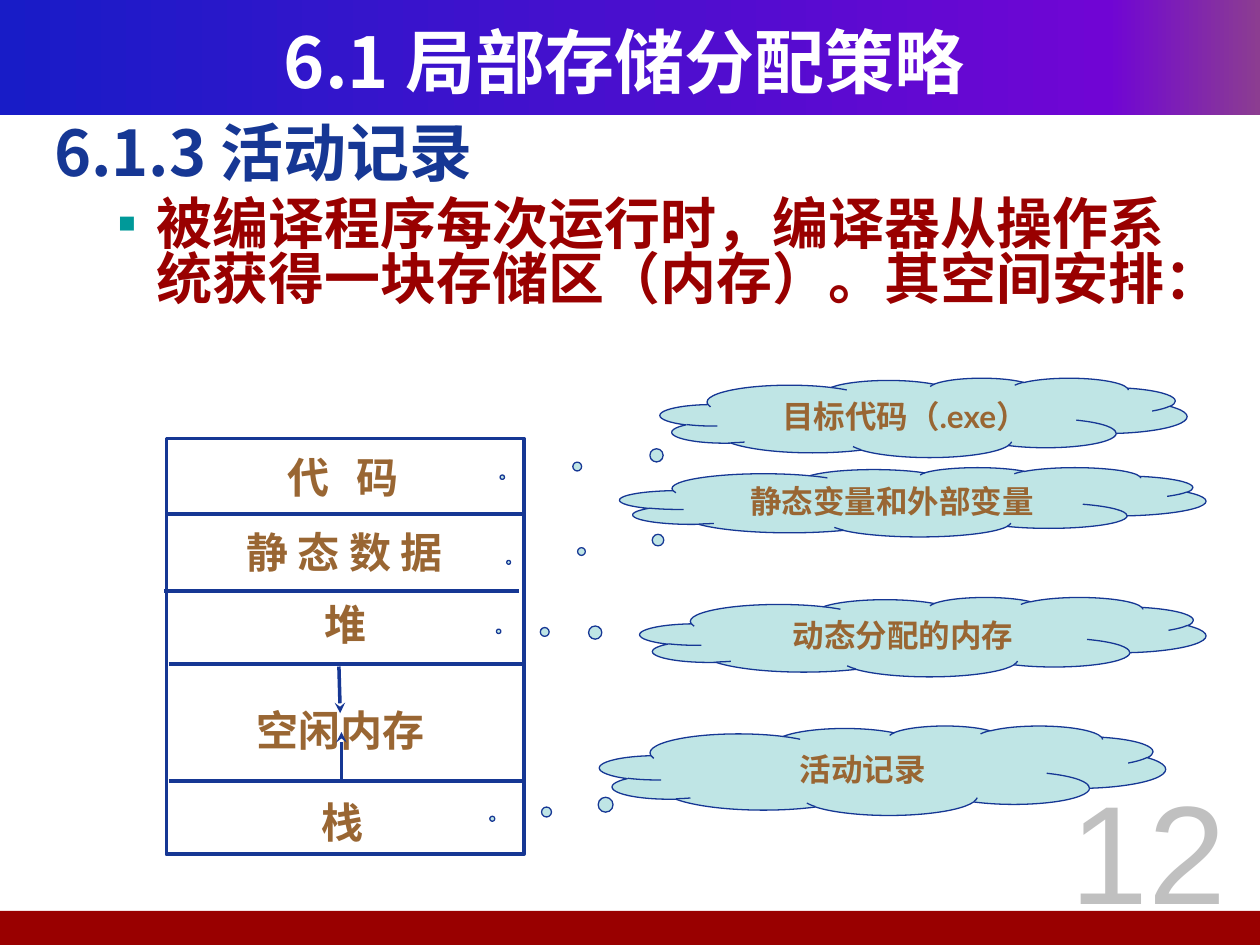
from dataclasses import dataclass

from lxml.etree import SubElement
from pptx import Presentation
from pptx.dml.color import RGBColor
from pptx.enum.shapes import MSO_CONNECTOR, MSO_SHAPE
from pptx.enum.text import MSO_ANCHOR, MSO_AUTO_SIZE, PP_ALIGN
from pptx.oxml.ns import qn
from pptx.util import Inches, Pt


@dataclass(frozen=True)
class Theme:
    navy: str = "163794"
    red: str = "990000"
    teal: str = "009999"
    brown: str = "996633"
    white: str = "FFFFFF"
    gray: str = "C0C0C0"
    banner: tuple = ((0, "181CC7"), (88, "7005D4"), (100, "8C3D91"))
    heading_font: str = "Noto Sans CJK SC"
    label_font: str = "Times New Roman"
    cloud_font: str = "Lato"
    number_font: str = "Arial"
    title_size: int = 40
    section_size: int = 36
    body_size: int = 32
    label_size: int = 24
    cloud_size: int = 18
    number_size: int = 80
    cloud_alpha: int = 25


def rgb(value):
    return RGBColor.from_string(value)


def box(*lengths):
    return [Inches(v) for v in lengths]


class SlideBuilder:
    def __init__(self, s, theme):
        self.s = s
        self.theme = theme
        self.shapes = s.shapes

    def frame(self, tf, anchor, insets=(0.1, 0.05, 0.1, 0.05)):
        left, top, right, bottom = box(*insets)
        values = {
            "word_wrap": True, "auto_size": MSO_AUTO_SIZE.NONE,
            "vertical_anchor": anchor, "margin_left": left,
            "margin_top": top, "margin_right": right, "margin_bottom": bottom,
        }
        for name, value in values.items():
            setattr(tf, name, value)

    def styled_run(self, p, text, font, size, color, bold=True, align=PP_ALIGN.CENTER, spacing=0):
        p.alignment = align
        r = p.add_run()
        r.text = text
        for name, value in {"name": font, "size": Pt(size), "bold": bold}.items():
            setattr(r.font, name, value)
        r.font.color.rgb = rgb(color)
        rPr = r._r.get_or_add_rPr()
        if spacing:
            rPr.set("spc", str(spacing * 100))
        if font == self.theme.heading_font:
            SubElement(rPr, qn("a:ea"), typeface=font)

    def place(self, sp, at):
        sp.left, sp.top, sp.width, sp.height = box(*at)

    def title(self, text, at):
        t, sp = self.theme, self.s.shapes.title
        self.place(sp, at)
        self.frame(sp.text_frame, MSO_ANCHOR.MIDDLE, (0, 0, 0, 0))
        self.styled_run(sp.text_frame.paragraphs[0], text, t.heading_font, t.title_size, t.white)

    def body(self, section, point, at):
        t, sp = self.theme, self.s.placeholders[1]
        self.place(sp, at)
        tf = sp.text_frame
        self.frame(tf, MSO_ANCHOR.TOP, (0.1, 0.09, 0.1, 0.05))
        rows = (
            (section, 0, 0.38, -0.38, t.section_size, t.navy, 0),
            (point, 1, 0.81, -0.31, t.body_size, t.red, 6.5),
        )
        for i, (text, level, margin, indent, size, color, before) in enumerate(rows):
            p = tf.add_paragraph() if i else tf.paragraphs[0]
            p.level = level
            pPr = p._p.get_or_add_pPr()
            pPr.set("marL", str(Inches(margin)))
            pPr.set("indent", str(Inches(indent)))
            if level:
                SubElement(SubElement(pPr, qn("a:buClr")), qn("a:srgbClr"), val=t.teal)
                SubElement(pPr, qn("a:buFont"), typeface=t.number_font)
                SubElement(pPr, qn("a:buChar"), char="▪")
            else:
                SubElement(pPr, qn("a:buNone"))
            p.line_spacing = 0.82
            p.space_before = Pt(before)
            self.styled_run(p, text, t.heading_font, size, color, align=PP_ALIGN.LEFT)

    def shape(self, kind, at, fill=None, line=None, width=0):
        sp = self.shapes.add_shape(kind, *box(*at))
        sp.shadow.inherit = False
        if fill:
            sp.fill.solid()
            sp.fill.fore_color.rgb = rgb(fill)
        else:
            sp.fill.background()
        if line:
            sp.line.color.rgb = rgb(line)
            sp.line.width = Pt(width)
        else:
            sp.line.fill.background()
        return sp

    def bar(self, at, fill=None, stops=()):
        sp = self.shape(MSO_SHAPE.RECTANGLE, at, fill)
        if stops:
            sp.fill.gradient()
            sp.fill.gradient_angle = 0
            gs_list = sp.element.spPr.find(qn("a:gradFill")).find(qn("a:gsLst"))
            gs_list.clear()
            for pos, color in stops:
                gs = SubElement(gs_list, qn("a:gs"), pos=str(pos * 1000))
                SubElement(gs, qn("a:srgbClr"), val=color)
        # Bars lie behind the placeholders
        self.s.shapes.element.insert(2, sp.element)

    def text(self, text, at, font, size, color, anchor, insets=(0.1, 0.05, 0.1, 0.05), **style):
        tf = self.shapes.add_textbox(*box(*at)).text_frame
        self.frame(tf, anchor, insets)
        self.styled_run(tf.paragraphs[0], text, font, size, color, **style)

    def label(self, text, left, top, spacing=0):
        t = self.theme
        self.text(text, (left, top, 2.71, 0.52), t.label_font, t.label_size, t.brown,
                  MSO_ANCHOR.MIDDLE, (0.1, 0.09, 0.1, 0.05), spacing=spacing)

    def line(self, start, end, arrow=False):
        c = self.shapes.add_connector(MSO_CONNECTOR.STRAIGHT, *box(*start, *end))
        c.line.color.rgb = rgb(self.theme.navy)
        c.line.width = Pt(2)
        spPr = c.element.spPr
        if arrow:
            SubElement(spPr.find(qn("a:ln")), qn("a:tailEnd"), type="stealth")
        SubElement(spPr, qn("a:effectLst"))

    def cloud(self, text, at, tip):
        t = self.theme
        sp = self.shape(MSO_SHAPE.CLOUD_CALLOUT, at, t.teal, t.navy, 0.75)
        for i, value in enumerate(tip):
            sp.adjustments[i] = value
        color = sp.element.spPr.find(qn("a:solidFill")).find(qn("a:srgbClr"))
        SubElement(color, qn("a:alpha"), val=str(t.cloud_alpha * 1000))
        self.frame(sp.text_frame, MSO_ANCHOR.MIDDLE)
        self.styled_run(sp.text_frame.paragraphs[0], text, t.cloud_font, t.cloud_size, t.brown)


def main():
    prs = Presentation()
    prs.slide_width, prs.slide_height = box(10, 7.5)
    s = prs.slides.add_slide(prs.slide_layouts[1])
    t = Theme()
    b = SlideBuilder(s, t)

    # Bars, title and body
    b.bar((-0.04, 7.23, 10.04, 0.27), fill=t.red)
    b.bar((0, 0, 10, 0.91), stops=t.banner)
    b.title("6.1 局部存储分配策略", (0.33, 0.17, 9.25, 0.62))
    b.body("6.1.3 活动记录",
           "被编译程序每次运行时，编译器从操作系统获得一块存储区（内存）。其空间安排：",
           (0.33, 0.92, 9.33, 2.24))

    # Slide number
    b.text("12", (8.23, 6.03, 1.77, 1.42), t.number_font, t.number_size, t.gray,
           MSO_ANCHOR.BOTTOM, bold=False)

    # Memory layout: frame, dividers, labels and growth arrows
    b.shapes = s.shapes.add_group_shape().shapes
    b.shape(MSO_SHAPE.RECTANGLE, (1.32, 3.48, 2.84, 3.3), line=t.navy, width=2)
    for left, right, y in ((1.33, 4.14, 4.08), (1.3, 4.12, 4.69),
                           (1.34, 4.16, 5.27), (1.34, 4.16, 6.2)):
        b.line((left, y), (right, y))
    b.label("代 码", 1.37, 3.5, spacing=5)
    for text, left, top in (("静 态 数 据", 1.38, 4.1), ("堆", 1.39, 4.67),
                            ("空闲内存", 1.35, 5.51), ("栈", 1.36, 6.24)):
        b.label(text, left, top)
    b.line((2.69, 5.29), (2.7, 5.66), arrow=True)
    b.line((2.71, 6.18), (2.71, 5.81), arrow=True)
    b.shapes = s.shapes

    # Cloud callouts
    for text, at, tip in (
        ("目标代码（.exe）", (5.24, 3, 4.18, 0.63), (-0.8, 0.75)),
        ("静态变量和外部变量", (4.92, 3.71, 4.65, 0.55), (-0.69, 0.87)),
        ("动态分配的内存", (5.08, 4.74, 4.49, 0.63), (-0.75, -0.07)),
        ("活动记录", (4.76, 5.76, 4.49, 0.71), (-0.69, 0.54)),
    ):
        b.cloud(text, at, tip)

    prs.save("out.pptx")


if __name__ == "__main__":
    main()
